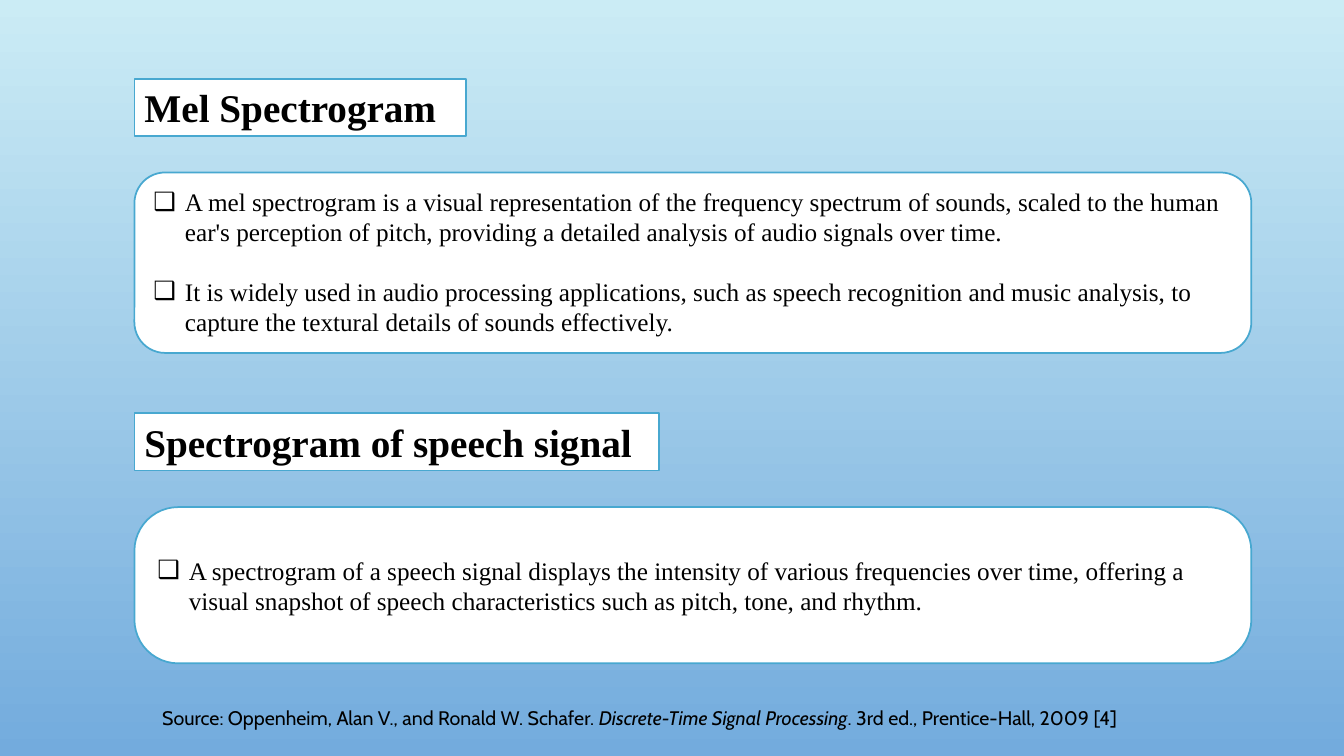
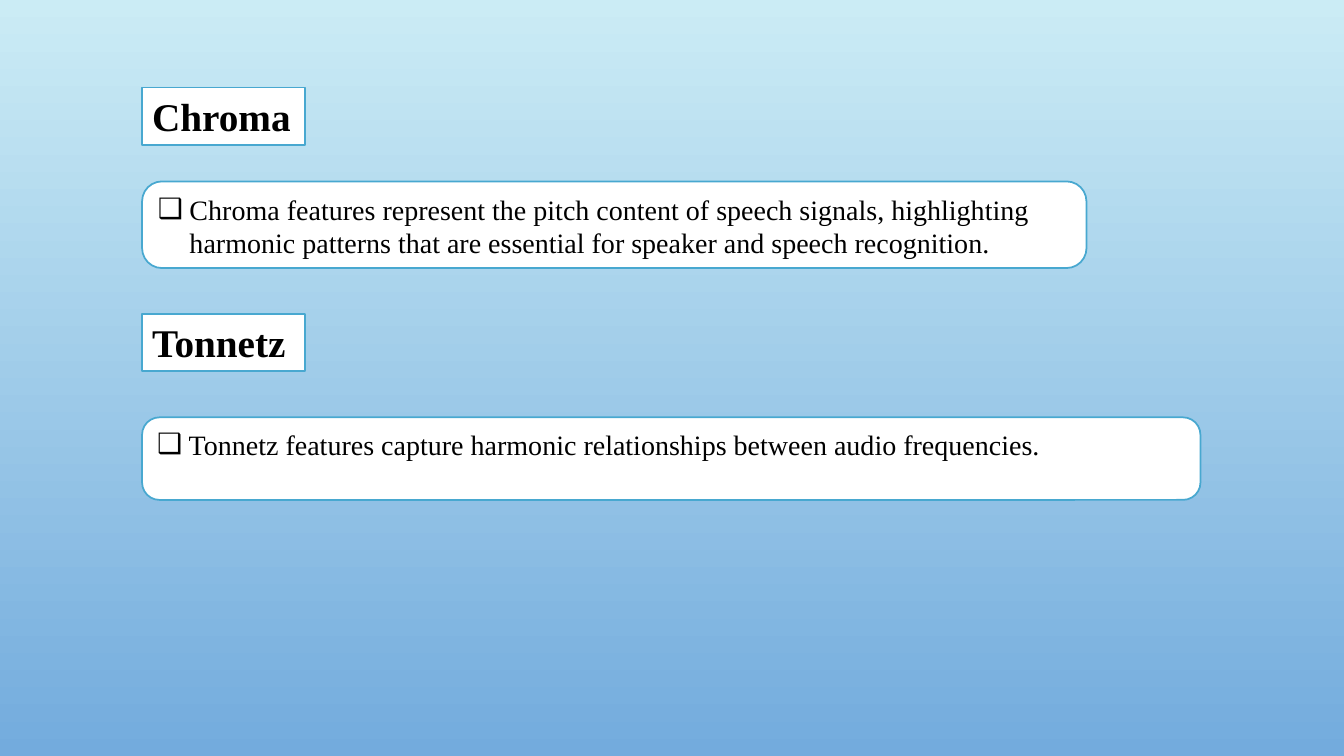
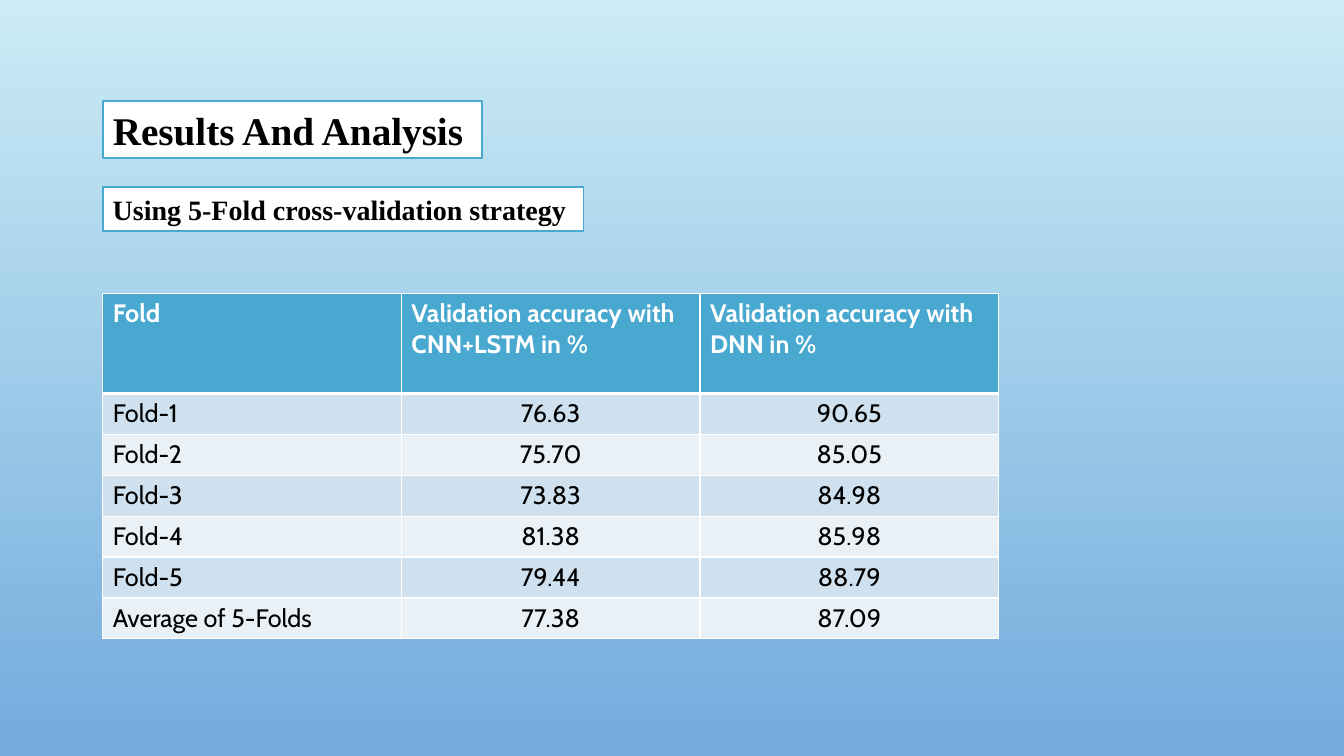
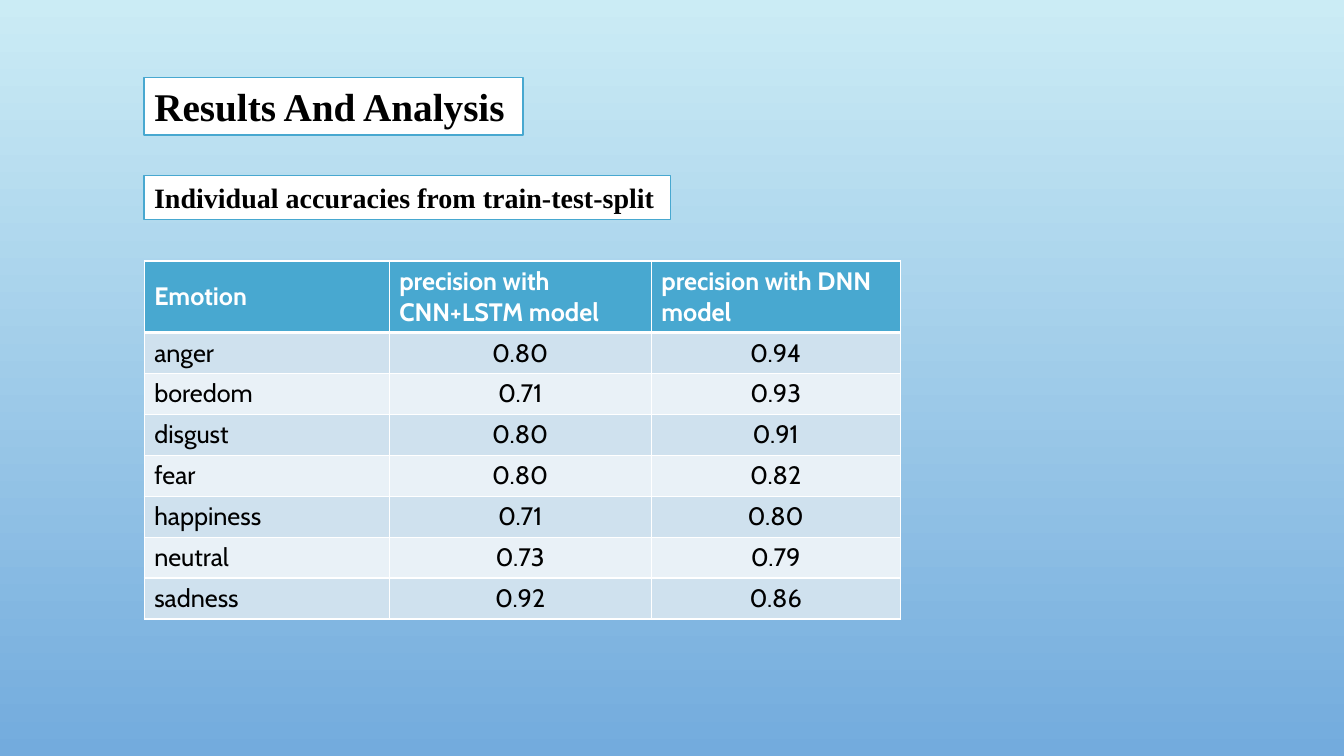
import dataclasses

import lxml.etree
import pptx
import pptx.dml.color
import pptx.enum.shapes
import pptx.enum.text
import pptx.oxml
import pptx.oxml.ns
import pptx.util

Pt = pptx.util.Pt
qn = pptx.oxml.ns.qn
Anchor = pptx.enum.text.MSO_ANCHOR
Align = pptx.enum.text.PP_ALIGN


@dataclasses.dataclass(frozen=True)
class Theme:
    sky_top: str = "CBECF5"
    sky_bottom: str = "73ABDD"
    accent: str = "48A8D0"
    paper: str = "FFFFFF"
    ink: str = "000000"
    bands: tuple = ("CFE1EE", "E9F1F7")
    serif: str = "Times New Roman"
    sans: str = "Cabin"
    heading: float = 28
    subheading: float = 20
    table: float = 18
    source: float = 14
    outline: float = 1.25
    hanging: float = 22.5
    bullet: str = "❑"


@dataclasses.dataclass(frozen=True)
class Box:
    left: float
    top: float
    width: float
    height: float

    def lengths(self):
        return [Pt(value) for value in dataclasses.astuple(self)]

    def below(self, offset, width, height):
        return Box(self.left, self.top + offset, width, height)


THEME = Theme()
HEADING_HEIGHT = 41
SUBHEADING_HEIGHT = 31.5
ROW_HEIGHT = 29.25


def colour(value):
    return pptx.dml.color.RGBColor.from_string(value)


def set_font(font, name, size, shade=THEME.ink, bold=False):
    font.name = name
    font.size = Pt(size)
    font.bold = bold
    font.color.rgb = colour(shade)


def place(shape, box):
    shape.left, shape.top, shape.width, shape.height = box.lengths()


def style_card(shape, anchor=Anchor.TOP):
    shape.fill.solid()
    shape.fill.fore_color.rgb = colour(THEME.paper)
    shape.line.color.rgb = colour(THEME.accent)
    shape.line.width = Pt(THEME.outline)
    frame = shape.text_frame
    frame.word_wrap = True
    frame.auto_size = pptx.enum.text.MSO_AUTO_SIZE.NONE
    frame.vertical_anchor = anchor


def fill_heading(shape, text, size):
    style_card(shape)
    shape.text_frame.text = text
    para = shape.text_frame.paragraphs[0]
    para.alignment = Align.LEFT
    set_font(para.font, THEME.serif, size, bold=True)


def add_title(page, box, text):
    place(page.shapes.title, box)
    fill_heading(page.shapes.title, text, THEME.heading)


def add_heading(page, box, text, size=THEME.heading):
    shape = page.shapes.add_shape(pptx.enum.shapes.MSO_SHAPE.RECTANGLE, *box.lengths())
    shape.shadow.inherit = False
    fill_heading(shape, text, size)


def round_corners(shape, ratio):
    properties = shape._element.spPr
    geometry = lxml.etree.SubElement(properties, qn("a:prstGeom"), prst="roundRect")
    guides = lxml.etree.SubElement(geometry, qn("a:avLst"))
    lxml.etree.SubElement(
        guides, qn("a:gd"), name="adj", fmla=f"val {round(ratio * 100000)}"
    )


def fill_list(shape, box, items, size, ratio=0.17, anchor=Anchor.TOP):
    place(shape, box)
    round_corners(shape, ratio)
    style_card(shape, anchor)
    frame = shape.text_frame
    frame.text = "\n".join(items)
    for index, para in enumerate(frame.paragraphs):
        properties = para._p.get_or_add_pPr()
        properties.set("marL", str(Pt(THEME.hanging)))
        properties.set("indent", str(-Pt(THEME.hanging)))
        lxml.etree.SubElement(properties, qn("a:buChar"), char=THEME.bullet)
        para.alignment = Align.LEFT
        para.space_before = Pt(size * 1.15 if index else 0)
        set_font(para.font, THEME.serif, size)


def add_source(page, box, parts):
    shape = page.shapes.add_textbox(*box.lengths())
    shape.text_frame.word_wrap = True
    para = shape.text_frame.paragraphs[0]
    set_font(para.font, THEME.sans, THEME.source)
    for text, italic in parts:
        span = para.add_run()
        span.text = text
        span.font.italic = italic


def set_borders(cell, top, bottom):
    properties = cell._tc.get_or_add_tcPr()
    for side, width in (("L", 1), ("R", 1), ("T", top), ("B", bottom)):
        line = lxml.etree.SubElement(properties, qn(f"a:ln{side}"), w=str(Pt(width)))
        fill = lxml.etree.SubElement(line, qn("a:solidFill"))
        lxml.etree.SubElement(fill, qn("a:srgbClr"), val=THEME.paper)


def add_results_table(page, box, widths, rows, label_anchor=Anchor.TOP):
    table = page.shapes.add_table(len(rows), len(widths), *box.lengths()).table
    for column, width in zip(table.columns, widths):
        column.width = Pt(width)
    header_height = box.height - ROW_HEIGHT * (len(rows) - 1)
    for r, texts in enumerate(rows):
        header = r == 0
        table.rows[r].height = Pt(header_height if header else ROW_HEIGHT)
        for c, text in enumerate(texts):
            cell = table.cell(r, c)
            set_borders(cell, 3 if r == 1 else 1, 3 if header else 1)
            cell.fill.solid()
            cell.fill.fore_color.rgb = colour(
                THEME.accent if header else THEME.bands[(r - 1) % 2]
            )
            cell.vertical_anchor = label_anchor if header and c == 0 else Anchor.TOP
            cell.text = text
            para = cell.text_frame.paragraphs[0]
            para.alignment = Align.LEFT if header or c == 0 else Align.CENTER
            shade = THEME.paper if header else THEME.ink
            set_font(para.font, THEME.sans, THEME.table, shade, header)


def add_feature_page(deck, title, title_box, first, heading, heading_box, second):
    page = deck.slides.add_slide(deck.slide_layouts.get_by_name("Comparison"))
    holders = {holder.placeholder_format.idx: holder for holder in page.placeholders}
    for index in (2, 4):
        holders[index]._element.getparent().remove(holders[index]._element)
    add_title(page, title_box, title)
    fill_list(holders[1], **first)
    add_heading(page, heading_box, heading)
    fill_list(holders[3], **second)
    return page


def add_results_page(deck, title_box, subtitle, subtitle_box, **table):
    page = deck.slides.add_slide(deck.slide_layouts.get_by_name("Title Only"))
    add_title(page, title_box, "Results And Analysis")
    add_heading(page, subtitle_box, subtitle, THEME.subheading)
    add_results_table(page, **table)


def paint_background(deck):
    fill = deck.slide_master.background.fill
    fill.gradient()
    fill.gradient_angle = 270
    for stop, shade in zip(fill.gradient_stops, (THEME.sky_top, THEME.sky_bottom)):
        stop.color.rgb = colour(shade)


def add_spectrograms(deck):
    top = Box(96, 56.2, 237, HEADING_HEIGHT)
    middle = top.below(239, 375, HEADING_HEIGHT)
    page = add_feature_page(
        deck,
        "Mel Spectrogram",
        top,
        dict(
            box=top.below(67, 797.8, 128.9),
            items=[
                "A mel spectrogram is a visual representation of the frequency spectrum of sounds, scaled to the human ear's perception of pitch, providing a detailed analysis of audio signals over time.",
                "It is widely used in audio processing applications, such as speech recognition and music analysis, to capture the textural details of sounds effectively.",
            ],
            size=18,
        ),
        "Spectrogram of speech signal",
        middle,
        dict(
            box=middle.below(67, 797.8, 111.6),
            items=[
                "A spectrogram of a speech signal displays the intensity of various frequencies over time, offering a visual snapshot of speech characteristics such as pitch, tone, and rhythm."
            ],
            size=18,
            ratio=0.28,
            anchor=Anchor.MIDDLE,
        ),
    )
    add_source(
        page,
        Box(108.7, 500.4, 827.3, 24.2),
        [
            ("Source: Oppenheim, Alan V., and Ronald W. Schafer. ", False),
            ("Discrete-Time Signal Processing", True),
            (". 3rd ed., Prentice-Hall, 2009 [4]", False),
        ],
    )


def add_harmony(deck):
    top = Box(101.5, 62.6, 116.6, HEADING_HEIGHT)
    middle = top.below(161.5, 116.6, HEADING_HEIGHT)
    add_feature_page(
        deck,
        "Chroma",
        top,
        dict(
            box=top.below(67, 674.6, 61.9),
            items=[
                "Chroma features represent the pitch content of speech signals, highlighting harmonic patterns that are essential for speaker and speech recognition."
            ],
            size=20,
            ratio=0.23,
        ),
        "Tonnetz",
        middle,
        dict(
            box=middle.below(74, 756, 59),
            items=[
                "Tonnetz features capture harmonic relationships between audio frequencies."
            ],
            size=20,
            ratio=0.21,
        ),
    )


def add_fold_results(deck):
    top = Box(73.4, 72, 270.7, HEADING_HEIGHT)
    add_results_page(
        deck,
        top,
        "Using 5-Fold cross-validation strategy",
        top.below(61.7, 343.4, SUBHEADING_HEIGHT),
        box=top.below(137.5, 640, 247),
        widths=[640 / 3] * 3,
        rows=[
            (
                "Fold",
                "Validation accuracy with CNN+LSTM in %",
                "Validation accuracy with DNN in %",
            ),
            ("Fold-1", "76.63", "90.65"),
            ("Fold-2", "75.70", "85.05"),
            ("Fold-3", "73.83", "84.98"),
            ("Fold-4", "81.38", "85.98"),
            ("Fold-5", "79.44", "88.79"),
            ("Average of 5-Folds", "77.38", "87.09"),
        ],
    )


def add_emotion_results(deck):
    top = Box(103, 55.4, 270.7, HEADING_HEIGHT)
    add_results_page(
        deck,
        top,
        "Individual accuracies from train-test-split",
        top.below(70, 376, SUBHEADING_HEIGHT),
        box=top.below(131, 540, 254.75),
        widths=[175, 187.2, 177.8],
        rows=[
            ("Emotion", "precision with CNN+LSTM model", "precision with DNN model"),
            ("anger", "0.80", "0.94"),
            ("boredom", "0.71", "0.93"),
            ("disgust", "0.80", "0.91"),
            ("fear", "0.80", "0.82"),
            ("happiness", "0.71", "0.80"),
            ("neutral", "0.73", "0.79"),
            ("sadness", "0.92", "0.86"),
        ],
        label_anchor=Anchor.MIDDLE,
    )


def main():
    deck = pptx.Presentation()
    deck.slide_width, deck.slide_height = Pt(960), Pt(540)
    paint_background(deck)
    add_spectrograms(deck)
    add_harmony(deck)
    add_fold_results(deck)
    add_emotion_results(deck)
    deck.save("out.pptx")


if __name__ == "__main__":
    main()
